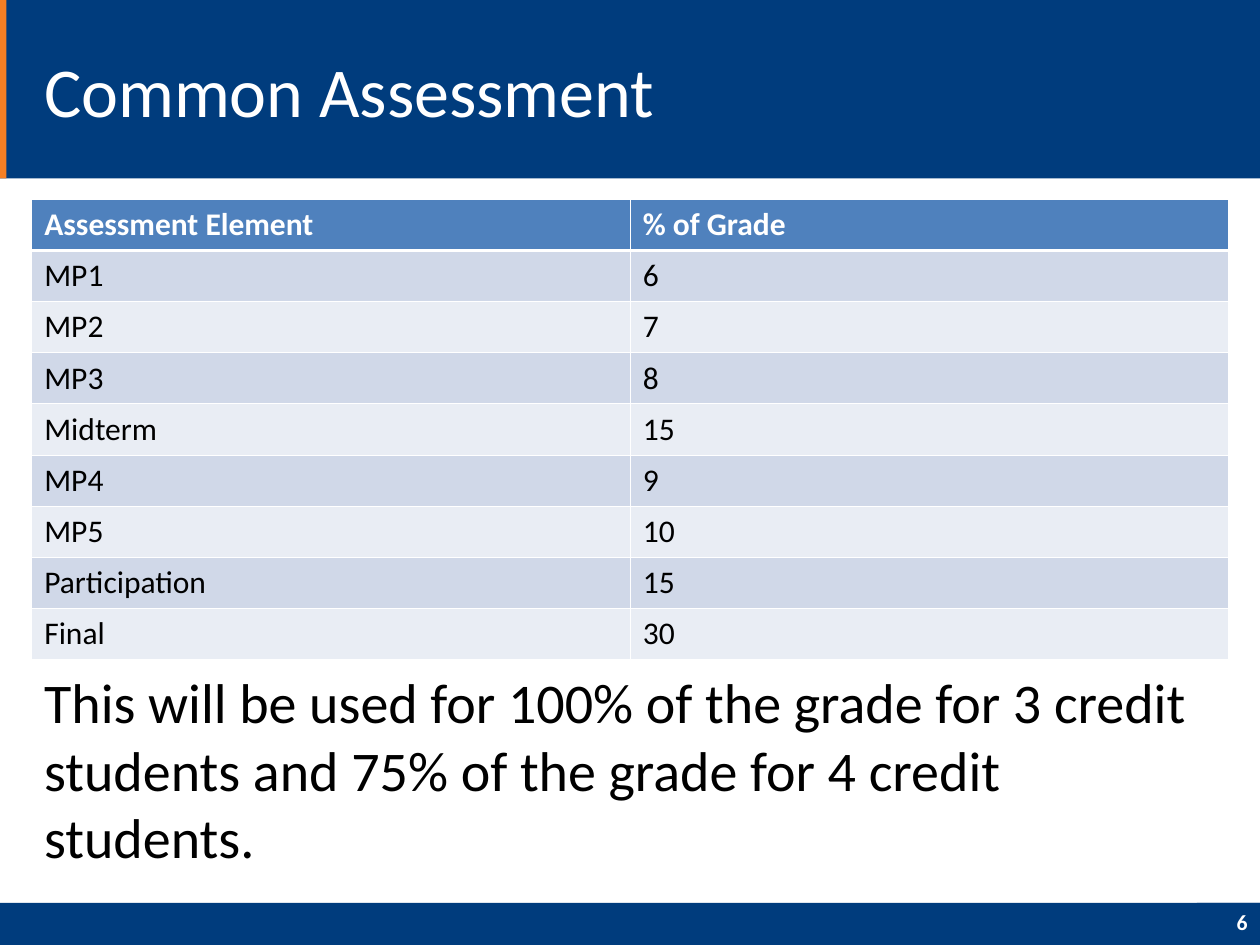
from lxml.etree import SubElement
from pptx import Presentation
from pptx.dml.color import RGBColor
from pptx.enum.shapes import MSO_SHAPE
from pptx.enum.text import MSO_ANCHOR, PP_ALIGN
from pptx.oxml.ns import qn
from pptx.util import Cm, Pt

COLORS = {name: RGBColor.from_string(value) for name, value in {
    "navy": "003C7D", "orange": "F47F24", "white": "FFFFFF", "black": "000000",
    "header": "4F81BD", "band_dark": "D0D8E8", "band_light": "E9EDF4",
}.items()}

GRADES = [
    ("Assessment Element", "% of Grade"),
    ("MP1", "6"),
    ("MP2", "7"),
    ("MP3", "8"),
    ("Midterm", "15"),
    ("MP4", "9"),
    ("MP5", "10"),
    ("Participation", "15"),
    ("Final", "30"),
]


def write(tf, text, size, color, bold=False):
    """Put one run into the first paragraph and return that paragraph."""
    tf.word_wrap = True
    p = tf.paragraphs[0]
    r = p.add_run()
    r.text = text
    r.font.name = "Calibri"
    r.font.size = Pt(size)
    r.font.bold = bold
    r.font.color.rgb = COLORS[color]
    return p


def set_border(cell, side, width):
    ln = SubElement(cell._tc.get_or_add_tcPr(), qn(f"a:ln{side}"), w=str(Pt(width)))
    fill = SubElement(ln, qn("a:solidFill"))
    SubElement(fill, qn("a:srgbClr"), val=str(COLORS["white"]))


prs = Presentation()
prs.slide_width, prs.slide_height = Cm(25.4), Cm(19.05)
s = prs.slides.add_slide(prs.slide_layouts[6])

# Footer, title band, accent and page number box
for left, top, width, height, color in [
    (0, 18.2, 25.4, 0.85, "navy"),
    (0, 0, 25.4, 3.6, "navy"),
    (0, 0, 0.13, 3.6, "orange"),
    (24.13, 18.2, 1.27, 0.85, "navy"),
]:
    sp = s.shapes.add_shape(MSO_SHAPE.RECTANGLE, Cm(left), Cm(top), Cm(width), Cm(height))
    sp.shadow.inherit = False
    sp.fill.solid()
    sp.fill.fore_color.rgb = COLORS[color]
    sp.line.fill.background()

# The page number goes in the last box drawn
sp.text_frame.vertical_anchor = MSO_ANCHOR.MIDDLE
p = write(sp.text_frame, "6", 12.4, "white", bold=True)
p.alignment = PP_ALIGN.RIGHT
p.line_spacing = 0.8

# Title
tf = s.shapes.add_textbox(Cm(0.64), Cm(0.42), Cm(18.63), Cm(2.75)).text_frame
tf.vertical_anchor = MSO_ANCHOR.MIDDLE
write(tf, "Common Assessment", 40, "white")

# Grade table
row_height = Cm(1.03)
table = s.shapes.add_table(len(GRADES), 2, Cm(0.64), Cm(4.02), Cm(24.13),
                           row_height * len(GRADES)).table
for i, values in enumerate(GRADES):
    table.rows[i].height = row_height
    is_header = i == 0
    fill = "header" if is_header else ("band_light", "band_dark")[i % 2]
    for j, text in enumerate(values):
        cell = table.cell(i, j)
        set_border(cell, "L", 0.45)
        set_border(cell, "R", 0.45)
        set_border(cell, "T", 1.47 if i == 1 else 0.45)
        set_border(cell, "B", 1.47 if is_header else 0.45)
        cell.fill.solid()
        cell.fill.fore_color.rgb = COLORS[fill]
        write(cell.text_frame, text, 18, "white" if is_header else "black", is_header)

# Note below the table
tf = s.shapes.add_textbox(Cm(0.64), Cm(13.34), Cm(24.13), Cm(4.45)).text_frame
write(tf, "This will be used for 100% of the grade for 3 credit students "
          "and 75% of the grade for 4 credit students.", 32, "black")

prs.save("out.pptx")
